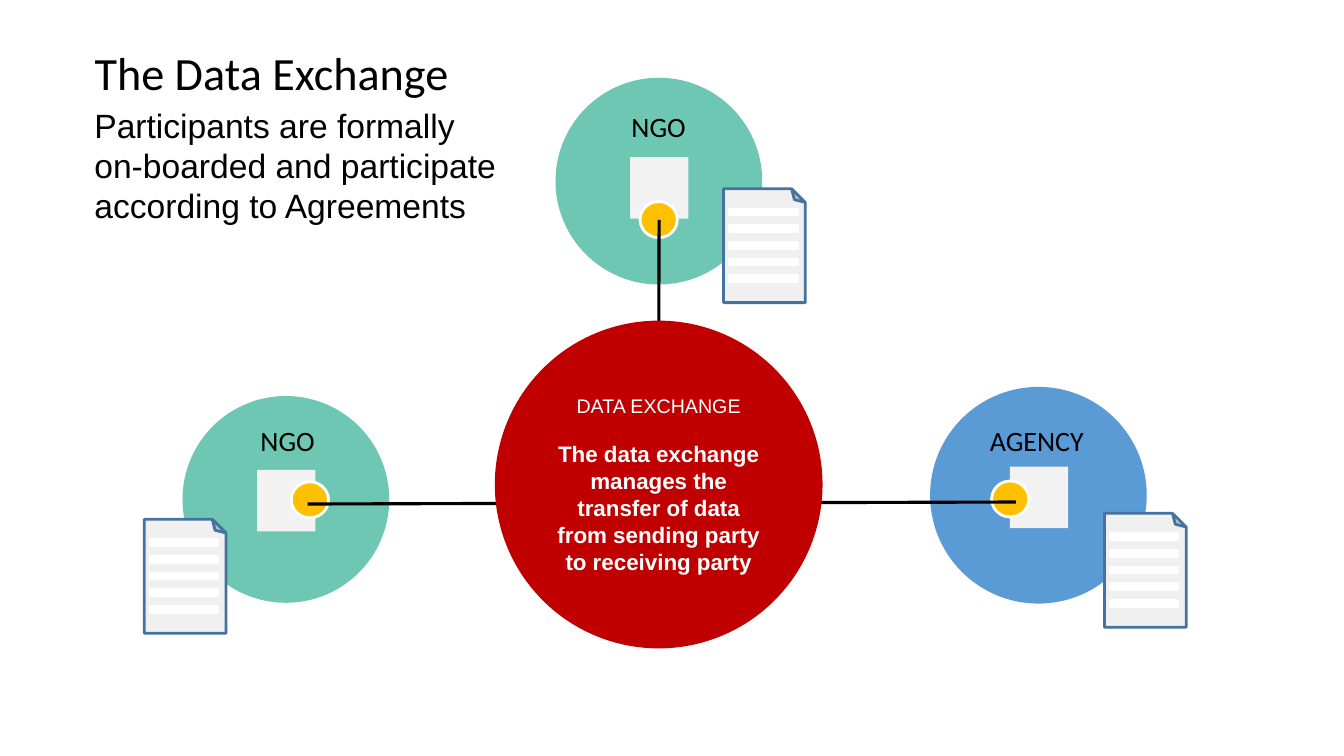
from pptx import Presentation
from pptx import util as u
from pptx.dml.color import RGBColor
from pptx.enum import shapes, text
from pptx.oxml.ns import qn
from lxml import etree

INK = {
    "black": "000000", "white": "FFFFFF", "green": "6EC7B3",
    "blue": "5B9BD5", "red": "C00000", "gold": "FFC000",
    "box": "F2F2F2", "sheet": "F1F0F0", "edge": "43739E",
}
KIND = shapes.MSO_SHAPE
LEFT, MID = text.PP_ALIGN.LEFT, text.PP_ALIGN.CENTER

NODES = [
    ("green", (4.6, 9.98, 5.21), (6.48, 11.84), (7.34, 12.14)),
    ("blue", (23.44, 9.75, 5.46), (25.45, 11.76), (24.99, 12.12)),
    ("green", (14, 1.96, 5.21), (15.88, 3.96), (16.13, 5.08)),
]
LINKS = [(7.75, 12.7, 25.6, 12.65), (16.59, 12.75, 16.61, 5.54)]
PAPERS = [(17.83, 5.16), (27.43, 13.34), (3.23, 13.49)]
LABELS = [
    ("NGO", 15.57, 2.64, 2.06),
    ("NGO", 6.22, 10.54, 2.06),
    ("AGENCY", 23.88, 10.54, 4.5),
]


def tint(name):
    return RGBColor.from_string(INK[name])


def area(*sizes):
    return [u.Cm(size) for size in sizes]


def add_shape(slide, kind, place, fill, edge=None):
    item = slide.shapes.add_shape(kind, *area(*place))
    item.shadow.inherit = False
    item.fill.solid()
    item.fill.fore_color.rgb = tint(fill)
    if edge:
        item.line.color.rgb = tint(edge)
        item.line.width = u.Pt(2)
    else:
        item.line.fill.background()
    return item


def add_run(para, words, size, font, color, bold=False):
    run = para.add_run()
    run.text = words
    run.font.size = u.Pt(size)
    run.font.name = font
    run.font.bold = bold
    run.font.color.rgb = tint(color)


def add_text(slide, place, lines, size, font, align=LEFT):
    frame = slide.shapes.add_textbox(*area(*place)).text_frame
    frame.word_wrap = True
    for spot, words in enumerate(lines):
        para = frame.add_paragraph() if spot else frame.paragraphs[0]
        para.alignment = align
        add_run(para, words, size, font, "black")


def add_title(slide, words):
    title = slide.shapes.title
    title.left, title.top, title.width, title.height = area(2.13, 0.43, 29.21, 2.97)
    frame = title.text_frame
    frame.auto_size = text.MSO_AUTO_SIZE.NONE
    frame.vertical_anchor = text.MSO_ANCHOR.MIDDLE
    para = frame.paragraphs[0]
    para.alignment = LEFT
    para.line_spacing = 0.9
    add_run(para, words, 33, "Calibri", "black")


def add_node(slide, fill, disc, box, dot):
    add_shape(slide, KIND.OVAL, (*disc, disc[2]), fill)
    add_shape(slide, KIND.RECTANGLE, (*box, 1.47, 1.55), "box")
    add_shape(slide, KIND.OVAL, (*dot, 0.94, 0.91), "gold", "white")


def add_link(slide, ends):
    link = slide.shapes.add_connector(shapes.MSO_CONNECTOR.STRAIGHT, *area(*ends))
    link.line.color.rgb = tint("black")
    link.line.width = u.Pt(2.25)
    etree.SubElement(link._element.spPr, qn("a:effectLst"))


def add_hub(slide):
    hub = add_shape(slide, KIND.OVAL, (12.47, 8.08, 8.26, 8.26), "red")
    frame = hub.text_frame
    frame.word_wrap = True
    frame.vertical_anchor = text.MSO_ANCHOR.MIDDLE
    head = frame.paragraphs[0]
    head.alignment = MID
    head.space_after = u.Pt(16)
    add_run(head, "DATA EXCHANGE", 14, "Arial", "white")
    body = frame.add_paragraph()
    body.alignment = MID
    add_run(body, "The data exchange manages the transfer of data "
            "from sending party to receiving party", 16, "Arial", "white", True)


def add_paper(slide, left, top):
    sheet = add_shape(slide, KIND.FOLDED_CORNER, (left, top, 2.87, 2.06), "sheet", "edge")
    sheet.rotation = 270
    for row in range(5):
        place = (left + 0.56, top + 0.11 + row * 0.42, 1.7, 0.15)
        add_shape(slide, KIND.RECTANGLE, place, "white", "white")


def main():
    deck = Presentation()
    deck.slide_width, deck.slide_height = area(33.87, 19.05)
    slide = deck.slides.add_slide(deck.slide_layouts[5])
    add_title(slide, "The Data Exchange")
    for node in NODES:
        add_node(slide, *node)
    for ends in LINKS:
        add_link(slide, ends)
    add_hub(slide)
    for paper in PAPERS:
        add_paper(slide, *paper)
    add_text(slide, (2.13, 2.51, 11.13, 3.38),
             ["Participants are formally",
              "on-boarded and participate according to Agreements"], 24, "Arial")
    for words, left, top, width in LABELS:
        add_text(slide, (left, top, width, 1.96), [words], 20, "Calibri", MID)
    deck.save("out.pptx")


if __name__ == "__main__":
    main()
